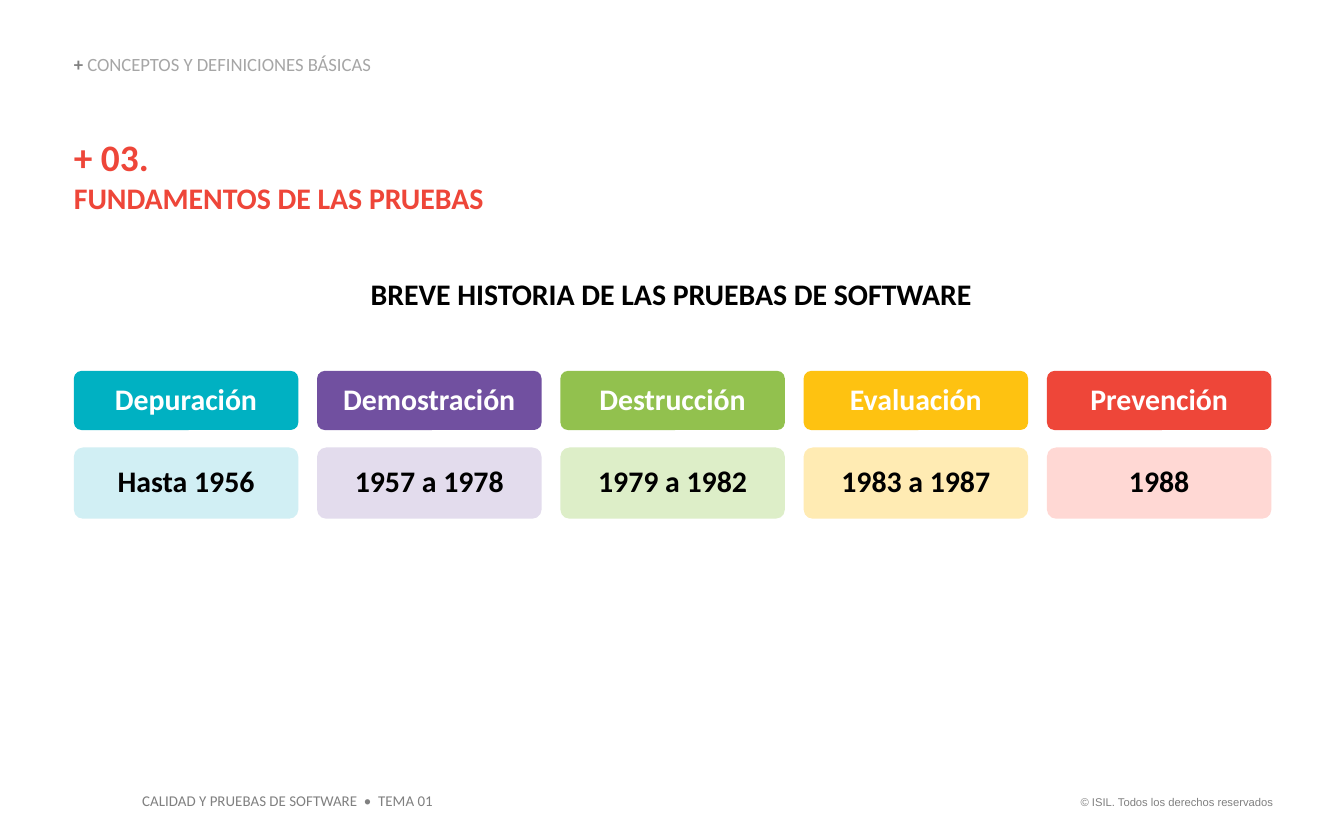
from pptx import Presentation
from pptx.dml.color import RGBColor
from pptx.enum.shapes import MSO_SHAPE as Shape
from pptx.enum.text import MSO_ANCHOR as Anchor, PP_ALIGN as Align
from pptx.util import Inches, Pt

BLACK = RGBColor(0x00, 0x00, 0x00)
WHITE = RGBColor(0xFF, 0xFF, 0xFF)
GRAY = RGBColor(0x80, 0x80, 0x80)
LIGHT_GRAY = RGBColor(0xA6, 0xA6, 0xA6)
TEAL = RGBColor(0x00, 0xB1, 0xC2)
PALE_TEAL = RGBColor(0xD1, 0xEF, 0xF4)
PURPLE = RGBColor(0x71, 0x50, 0xA0)
PALE_PURPLE = RGBColor(0xE3, 0xDC, 0xED)
GREEN = RGBColor(0x92, 0xC1, 0x4E)
PALE_GREEN = RGBColor(0xDD, 0xEE, 0xC8)
YELLOW = RGBColor(0xFE, 0xC2, 0x11)
PALE_YELLOW = RGBColor(0xFF, 0xEB, 0xB3)
RED = RGBColor(0xEE, 0x46, 0x39)
PALE_RED = RGBColor(0xFF, 0xD8, 0xD4)

LEFT = 0.55
COLUMN_STEP = 1.81
CARD_WIDTH = 1.67

STAGES = [
    ("Depuración", "Hasta 1956", TEAL, PALE_TEAL),
    ("Demostración", "1957 a 1978", PURPLE, PALE_PURPLE),
    ("Destrucción", "1979 a 1982", GREEN, PALE_GREEN),
    ("Evaluación", "1983 a 1987", YELLOW, PALE_YELLOW),
    ("Prevención", "1988", RED, PALE_RED),
]


def add_run(paragraph, text, size=16, color=BLACK, bold=False, font="Calibri"):
    run = paragraph.add_run()
    run.text = text
    run.font.name = font
    run.font.size = Pt(size)
    run.font.bold = bold
    run.font.color.rgb = color


def add_text_box(slide, left, top, width, height, align=Align.LEFT,
                 anchor=Anchor.TOP, wrap=True, insets=(0, 0)):
    """Add an empty text box and return its first paragraph."""
    frame = slide.shapes.add_textbox(
        Inches(left), Inches(top), Inches(width), Inches(height)).text_frame
    frame.word_wrap = wrap
    frame.vertical_anchor = anchor
    frame.margin_left = frame.margin_right = Inches(insets[0])
    frame.margin_top = frame.margin_bottom = Inches(insets[1])
    paragraph = frame.paragraphs[0]
    paragraph.alignment = align
    return paragraph


def add_card(slide, left, top, height, text, fill, color):
    card = slide.shapes.add_shape(
        Shape.ROUNDED_RECTANGLE,
        Inches(left), Inches(top), Inches(CARD_WIDTH), Inches(height))
    card.adjustments[0] = 0.128
    card.shadow.inherit = False
    card.fill.solid()
    card.fill.fore_color.rgb = fill
    card.line.fill.background()
    frame = card.text_frame
    frame.word_wrap = True
    frame.vertical_anchor = Anchor.MIDDLE
    paragraph = frame.paragraphs[0]
    paragraph.alignment = Align.CENTER
    paragraph.line_spacing = 0.9
    add_run(paragraph, text, color=color, bold=True)


def add_footer(slide):
    insets = (0.1, 0.05)
    rights = add_text_box(slide, 7.88, 5.87, 1.69, 0.2, align=Align.RIGHT,
                          wrap=False, insets=insets)
    add_run(rights, "© ISIL. Todos los derechos reservados",
            size=6, color=GRAY, font="Arial")
    course = add_text_box(slide, 0.96, 5.84, 2.37, 0.24, wrap=False, insets=insets)
    add_run(course, "CALIDAD Y PRUEBAS DE SOFTWARE  •  TEMA 01", size=8, color=GRAY)


def add_headings(slide):
    topic = add_text_box(slide, LEFT, 0.41, 3.61, 0.15, anchor=Anchor.BOTTOM)
    topic.line_spacing = 0.9
    add_run(topic, "+ ", size=10, color=GRAY, bold=True)
    add_run(topic, "CONCEPTOS Y DEFINICIONES BÁSICAS", size=10, color=LIGHT_GRAY)

    title = add_text_box(slide, LEFT, 1, 8.94, 0.61)
    title.space_after = Pt(6)
    add_run(title, "+ 03.", size=20, color=RED, bold=True)
    title.add_line_break()
    add_run(title, "FUNDAMENTOS DE LAS PRUEBAS", color=RED, bold=True)

    subtitle = add_text_box(slide, LEFT, 2.05, 8.94, 0.27, align=Align.CENTER)
    add_run(subtitle, "BREVE HISTORIA DE LAS PRUEBAS DE SOFTWARE ", bold=True)


def add_timeline(slide):
    for index, (stage, years, strong, pale) in enumerate(STAGES):
        left = LEFT + index * COLUMN_STEP
        add_card(slide, left, 3.33, 0.53, years, pale, BLACK)
        add_card(slide, left, 2.76, 0.44, stage, strong, WHITE)


def main():
    presentation = Presentation()
    presentation.slide_width = Inches(10)
    presentation.slide_height = Inches(6.25)
    slide = presentation.slides.add_slide(presentation.slide_layouts[6])
    add_footer(slide)
    add_timeline(slide)
    add_headings(slide)
    presentation.save("out.pptx")


if __name__ == "__main__":
    main()
